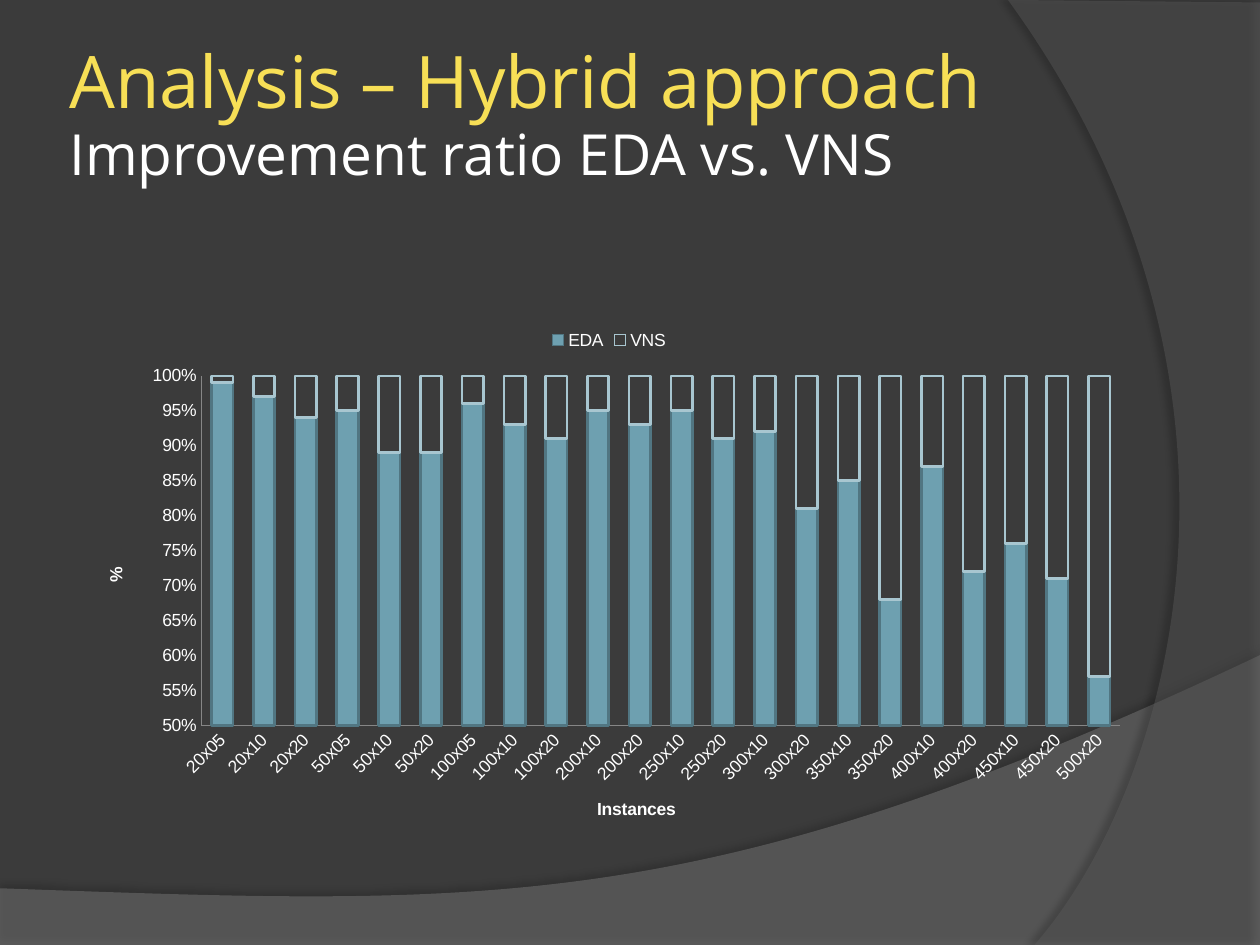
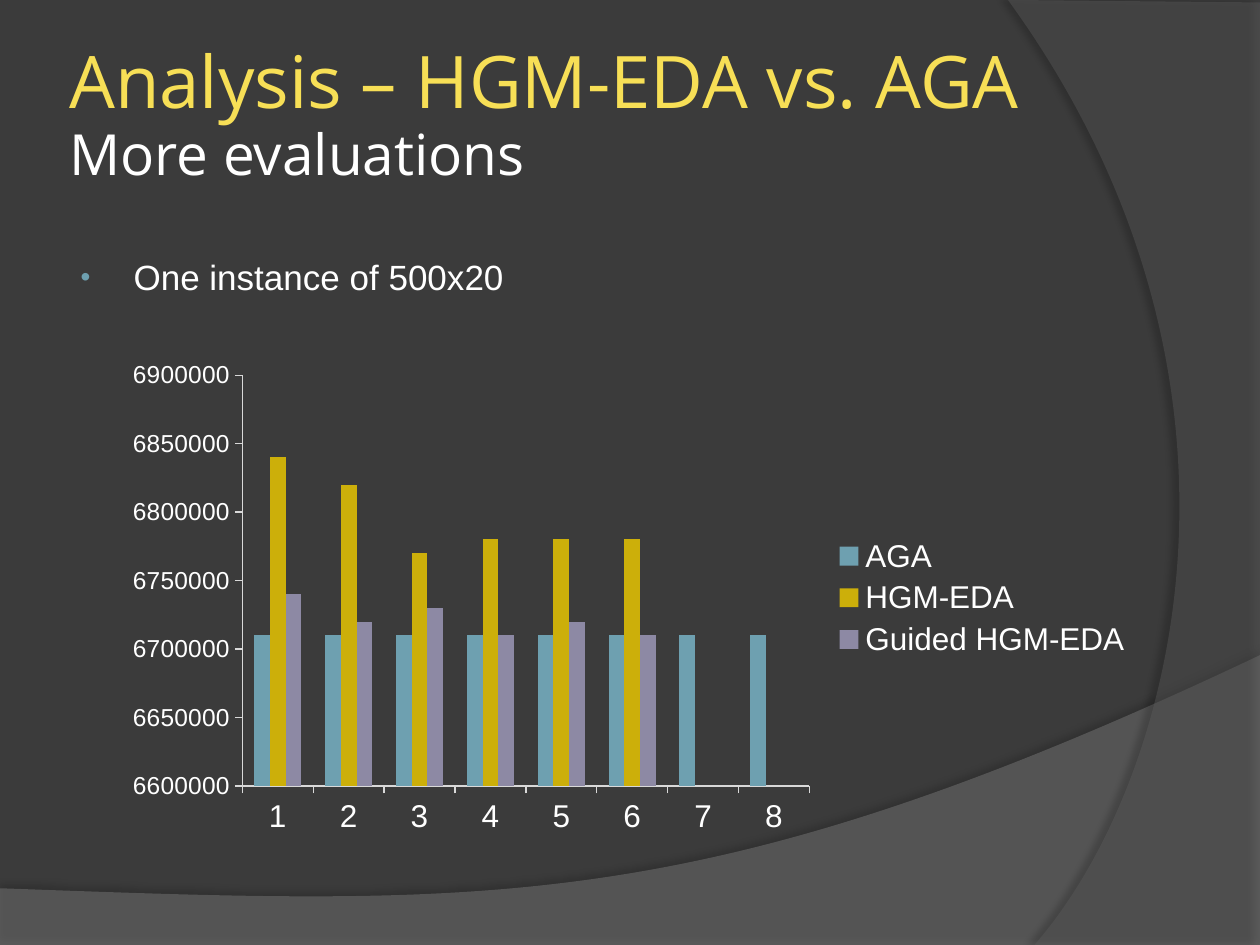
from dataclasses import dataclass
from typing import Any

from lxml.etree import SubElement
from pptx import Presentation
from pptx.chart.chart import Chart
from pptx.chart.data import CategoryChartData
from pptx.dml.color import RGBColor
from pptx.enum.chart import XL_CHART_TYPE, XL_LEGEND_POSITION, XL_TICK_MARK
from pptx.enum.text import MSO_ANCHOR, MSO_AUTO_SIZE, PP_ALIGN
from pptx.oxml.ns import qn
from pptx.slide import Slide
from pptx.util import Inches, Pt

COLORS = {
    "background": "3B3B3B",
    "floor": "7F7F7F",
    "side": "5E5E5E",
    "shadow": "000000",
    "heading": "F7DF56",
    "text": "FFFFFF",
    "teal": "6EA0B0",
    "teal_dark": "517682",
    "teal_light": "A8C6D0",
    "gold": "CCAF0A",
    "violet": "8D89A4",
    "ratio_axis": "868686",
    "evaluation_axis": "D9D9D9",
}
HEADING_FONT = "Open Sans"
BODY_FONT = "Arial"

Point = tuple[float, float]
Box = tuple[float, float, float, float]


@dataclass
class Band:
    corners: list[Point]
    curve: tuple[Point, Point, Point, Point]
    color: str
    opacity: int
    shadow_opacity: int
    shadow_distance: float
    shadow_angle: int


@dataclass
class Series:
    name: str
    values: list[float | None]
    fill: str | None
    line: str | None = None


@dataclass
class ColumnChart:
    kind: XL_CHART_TYPE
    box: Box
    plot_area: Box
    categories: list[str]
    series: list[Series]
    legend: XL_LEGEND_POSITION
    axis_color: str
    tick: XL_TICK_MARK
    size: int
    value_size: int
    value_axis: dict[str, Any]
    number_format: str
    plot: dict[str, Any]


BANDS = [
    Band([(0, 7.5), (10, 7.5)], ((10, 5.2), (5.59, 7.29), (3.91, 7.19), (0, 7.05)),
         "floor", 45, 35, 3.5, 270),
    Band([(10, 0.02), (10, 7.5)], ((8.21, 7.5), (9.35, 6.19), (10.18, 3), (8, 0)),
         "side", 40, 45, 4, 180),
]


def rgb(name: str) -> RGBColor:
    return RGBColor.from_string(COLORS[name])


def apply(target: Any, formats: dict[str, Any]) -> None:
    for attribute, value in formats.items():
        setattr(target, attribute, value)


def set_font(font: Any, face: str, size: float, color: str = "text", bold: bool = False) -> None:
    apply(font, {"name": face, "size": Pt(size), "bold": bold})
    font.color.rgb = rgb(color)


def place(shape: Any, box: Box) -> None:
    apply(shape, dict(zip(("left", "top", "width", "height"), map(Inches, box))))


def bend_last_edge(shape: Any, curve: tuple[Point, Point, Point, Point]) -> None:
    edge = list(shape._element.iter(qn("a:lnTo")))[-1]
    edge.tag = qn("a:cubicBezTo")
    edge.clear()
    for x, y in curve[1:]:
        point = SubElement(edge, qn("a:pt"))
        point.set("x", str(Inches(x) - shape.left))
        point.set("y", str(Inches(y) - shape.top))


def add_alpha(color: Any, percent: int) -> None:
    SubElement(color, qn("a:alpha")).set("val", str(percent * 1000))


def draw_master_band(master: Any, slide: Slide, band: Band, order: int) -> None:
    outline = [(Inches(x), Inches(y)) for x, y in (*band.corners, band.curve[0], band.curve[-1])]
    builder = slide.shapes.build_freeform(*outline[0])
    builder.add_line_segments(outline[1:], close=False)
    shape = builder.convert_to_shape()
    bend_last_edge(shape, band.curve)
    shape.fill.solid()
    shape.fill.fore_color.rgb = rgb(band.color)
    shape.line.fill.background()
    shape.shadow.inherit = False
    properties = shape._element.spPr
    add_alpha(properties.find(qn("a:solidFill")).find(qn("a:srgbClr")), band.opacity)
    shadow = SubElement(properties.find(qn("a:effectLst")), qn("a:outerShdw"))
    settings = {"blurRad": Pt(4), "dist": Pt(band.shadow_distance),
                "dir": band.shadow_angle * 60000, "algn": "ctr", "rotWithShape": 0}
    for key, value in settings.items():
        shadow.set(key, str(value))
    shade = SubElement(shadow, qn("a:srgbClr"))
    shade.set("val", COLORS["shadow"])
    add_alpha(shade, band.shadow_opacity)
    shape._element.nvSpPr.cNvPr.set("id", str(100 + order))
    master.shapes._spTree.insert(2 + order, shape._element)


def write_title(slide: Slide, heading: str, subheading: str, box: Box) -> None:
    title = slide.shapes.title
    place(title, box)
    apply(title.text_frame, {
        "word_wrap": True, "auto_size": MSO_AUTO_SIZE.NONE, "vertical_anchor": MSO_ANCHOR.TOP,
    })
    apply(title.text_frame, {f"margin_{side}": Inches(0.05)
                             for side in ("left", "top", "right", "bottom")})
    paragraph = title.text_frame.paragraphs[0]
    apply(paragraph, {"alignment": PP_ALIGN.LEFT, "line_spacing": 0.93})
    first = paragraph.add_run()
    first.text = heading
    set_font(first.font, HEADING_FONT, 41.4, "heading")
    paragraph.add_line_break()
    second = paragraph.add_run()
    second.text = subheading
    set_font(second.font, HEADING_FONT, 32.4)


def write_bullet(slide: Slide, text: str, box: Box) -> None:
    body = slide.placeholders[1]
    place(body, box)
    apply(body.text_frame, {"word_wrap": True, "auto_size": MSO_AUTO_SIZE.NONE})
    paragraph = body.text_frame.paragraphs[0]
    paragraph.space_before = Pt(4)
    run = paragraph.add_run()
    run.text = text
    set_font(run.font, BODY_FONT, 20)
    properties = paragraph._p.get_or_add_pPr()
    properties.set("marL", str(Inches(0.46)))
    properties.set("indent", str(Inches(-0.42)))
    bullet_color = SubElement(properties, qn("a:buClr"))
    SubElement(bullet_color, qn("a:srgbClr")).set("val", COLORS["teal"])
    SubElement(properties, qn("a:buSzPct")).set("val", "80000")
    SubElement(properties, qn("a:buFont")).set("typeface", BODY_FONT)
    SubElement(properties, qn("a:buChar")).set("char", "•")


def set_plot_area(chart: Chart, box: Box) -> None:
    area = chart._chartSpace.chart.plotArea
    for stale in area.findall(qn("c:layout")):
        area.remove(stale)
    layout = SubElement(area, qn("c:layout"))
    area.insert(0, layout)
    manual = SubElement(layout, qn("c:manualLayout"))
    settings = {"layoutTarget": "inner", "xMode": "edge", "yMode": "edge"}
    settings.update(zip("xywh", map(str, box)))
    for tag, value in settings.items():
        SubElement(manual, qn(f"c:{tag}")).set("val", value)


def add_columns(slide: Slide, spec: ColumnChart) -> Chart:
    data = CategoryChartData()
    data.categories = spec.categories
    for series in spec.series:
        data.add_series(series.name, series.values)
    chart = slide.shapes.add_chart(spec.kind, *map(Inches, spec.box), data).chart
    set_font(chart.font, BODY_FONT, spec.size)
    apply(chart, {"has_title": False, "has_legend": True})
    apply(chart.legend, {"position": spec.legend, "include_in_layout": False})
    set_font(chart.legend.font, BODY_FONT, spec.size)
    apply(chart.plots[0], {"vary_by_categories": False, **spec.plot})
    for axis, size in ((chart.category_axis, spec.size), (chart.value_axis, spec.value_size)):
        apply(axis, {"has_major_gridlines": False, "major_tick_mark": spec.tick,
                     "minor_tick_mark": XL_TICK_MARK.NONE})
        axis.format.line.color.rgb = rgb(spec.axis_color)
        axis.format.line.width = Pt(0.75)
        set_font(axis.tick_labels.font, BODY_FONT, size)
    apply(chart.value_axis, spec.value_axis)
    apply(chart.value_axis.tick_labels,
          {"number_format": spec.number_format, "number_format_is_linked": False})
    for column, series in zip(chart.plots[0].series, spec.series):
        column.invert_if_negative = False
        if series.fill:
            column.format.fill.solid()
            column.format.fill.fore_color.rgb = rgb(series.fill)
        else:
            column.format.fill.background()
        if series.line:
            column.format.line.color.rgb = rgb(series.line)
            column.format.line.width = Pt(1.5)
        else:
            column.format.line.fill.background()
    set_plot_area(chart, spec.plot_area)
    return chart


def title_axis(axis: Any, text: str) -> None:
    frame = axis.axis_title.text_frame
    frame.text = text
    set_font(frame.paragraphs[0].runs[0].font, BODY_FONT, 10, bold=True)


presentation = Presentation()
apply(presentation, {"slide_width": Inches(10), "slide_height": Inches(7.5)})
master = presentation.slide_master
master.background.fill.solid()
master.background.fill.fore_color.rgb = rgb("background")

hybrid = presentation.slides.add_slide(presentation.slide_layouts[5])
for order, band in enumerate(BANDS):
    draw_master_band(master, hybrid, band, order)
write_title(hybrid, "Analysis – Hybrid approach", "Improvement ratio EDA vs. VNS",
            (0.5, 0.3, 8.17, 1.78))
eda_share = [99, 97, 94, 95, 89, 89, 96, 93, 91, 95, 93,
             95, 91, 92, 81, 85, 68, 87, 72, 76, 71, 57]
instances = [f"{jobs}x{machines}" for jobs in (20, 50, 100) for machines in ("05", "10", "20")]
instances += [f"{jobs}x{machines}" for jobs in range(200, 500, 50) for machines in (10, 20)]
instances.append("500x20")
ratio = add_columns(hybrid, ColumnChart(
    kind=XL_CHART_TYPE.COLUMN_STACKED_100,
    box=(0.62, 2.51, 8.43, 4.19), plot_area=(0.116, 0.113, 0.865, 0.662),
    categories=instances,
    series=[Series("EDA", eda_share, "teal", "teal_dark"),
            Series("VNS", [100 - share for share in eda_share], None, "teal_light")],
    legend=XL_LEGEND_POSITION.TOP, axis_color="ratio_axis", tick=XL_TICK_MARK.NONE,
    size=10, value_size=10,
    value_axis={"minimum_scale": 0.5, "maximum_scale": 1, "major_unit": 0.05},
    number_format="0%", plot={"gap_width": 95, "overlap": 100},
))
title_axis(ratio.category_axis, "Instances")
title_axis(ratio.value_axis, "%")
ratio.category_axis._element.find(qn("c:txPr")).find(qn("a:bodyPr")).set("rot", "-2700000")

evaluations = presentation.slides.add_slide(presentation.slide_layouts[1])
write_title(evaluations, "Analysis – HGM-EDA vs. AGA", "More evaluations", (0.5, 0.3, 8.94, 1.25))
write_bullet(evaluations, "One instance of 500x20", (0.5, 1.98, 8.17, 4.72))
add_columns(evaluations, ColumnChart(
    kind=XL_CHART_TYPE.COLUMN_CLUSTERED,
    box=(0.89, 2.79, 8.2, 3.91), plot_area=(0.126, 0.048, 0.549, 0.834),
    categories=[str(number) for number in range(1, 9)],
    series=[
        Series("AGA", [6710000] * 8, "teal"),
        Series("HGM-EDA", [6840000, 6820000, 6770000, 6780000, 6780000, 6780000, None, None],
               "gold"),
        Series("Guided HGM-EDA",
               [6740000, 6720000, 6730000, 6710000, 6720000, 6710000, None, None], "violet"),
    ],
    legend=XL_LEGEND_POSITION.RIGHT, axis_color="evaluation_axis", tick=XL_TICK_MARK.OUTSIDE,
    size=18, value_size=14,
    value_axis={"minimum_scale": 6600000, "maximum_scale": 6900000, "major_unit": 50000},
    number_format="0", plot={"gap_width": 150, "overlap": 0},
))

presentation.save("out.pptx")
